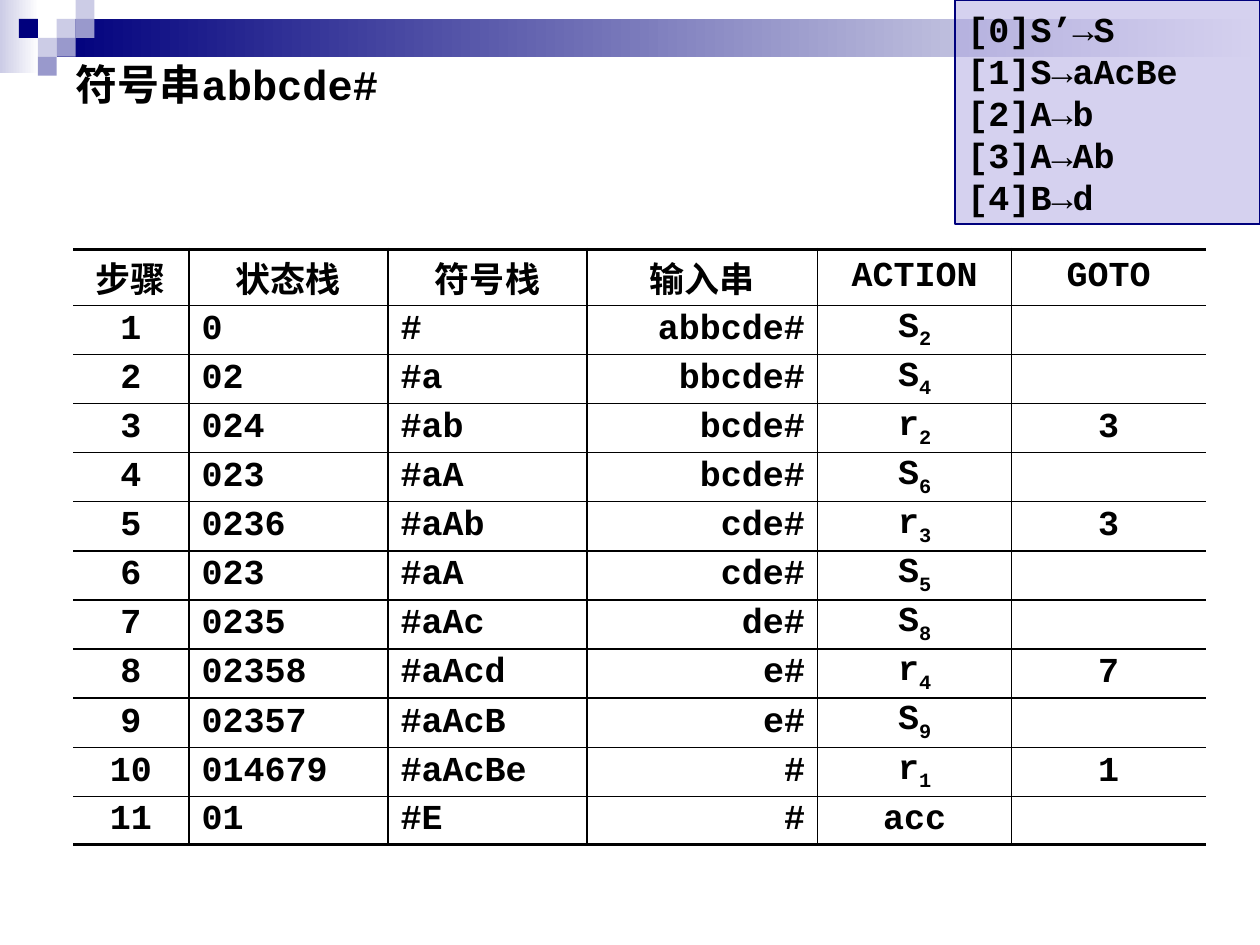
from dataclasses import dataclass
from pptx import Presentation
from pptx import util as u
from pptx.dml import color
from pptx.enum import shapes, text
from pptx.oxml import ns
from lxml import etree

INK, NAVY, LILAC, PALE, MID = "000000", "00007D", "ADA4E0", "CCCCE6", "9999CC"
FACE = "Courier New"
COLS, ROWS = 100, 75
UNIT = u.Inches(10) // COLS
TILE = 1.5
LEFT, MID_AL, RIGHT = text.PP_ALIGN.LEFT, text.PP_ALIGN.CENTER, text.PP_ALIGN.RIGHT
PLAIN = "{2D5ABB26-0587-4C30-8999-92F81FD0307C}"


@dataclass
class Box:
    col: float
    row: float
    wide: float
    high: float

    def place(self) -> list:
        return [span(n) for n in (self.col, self.row, self.wide, self.high)]


@dataclass
class Tile:
    col: int
    row: int
    tint: str


@dataclass
class Field:
    head: str
    wide: float
    align: int


TILES = [
    Tile(3, 1, PALE), Tile(4, 0, PALE), Tile(4, 1, MID), Tile(2, 2, PALE),
    Tile(1, 1, NAVY), Tile(3, 2, MID), Tile(2, 3, MID),
]
FIELDS = [
    Field("步骤", 9.2, MID_AL), Field("状态栈", 15.8, LEFT),
    Field("符号栈", 15.8, LEFT), Field("输入串", 18.3, RIGHT),
    Field("ACTION", 15.4, MID_AL), Field("GOTO", 15.4, MID_AL),
]
STEPS = [
    ("0", "#", "abbcde#", "S2", ""),
    ("02", "#a", "bbcde#", "S4", ""),
    ("024", "#ab", "bcde#", "r2", "3"),
    ("023", "#aA", "bcde#", "S6", ""),
    ("0236", "#aAb", "cde#", "r3", "3"),
    ("023", "#aA", "cde#", "S5", ""),
    ("0235", "#aAc", "de#", "S8", ""),
    ("02358", "#aAcd", "e#", "r4", "7"),
    ("02357", "#aAcB", "e#", "S9", ""),
    ("014679", "#aAcBe", "#", "r1", "1"),
    ("01", "#E", "#", "acc", ""),
]
HIGHS = [4.4] + [3.9] * 10 + [3.8]
RULES = ["[0]S’→S", "[1]S→aAcBe", "[2]A→b", "[3]A→Ab", "[4]B→d"]


def span(n: float) -> int:
    return u.Emu(round(n * UNIT))


def hue(code: str) -> color.RGBColor:
    return color.RGBColor.from_string(code)


def style(para, size: int, align: int) -> None:
    para.alignment = align
    for run in para.runs:
        font = run.font
        font.name, font.size, font.bold = FACE, u.Pt(size), True
        font.color.rgb = hue(INK)


def block(slide, box: Box, *tints: str):
    shape = slide.shapes.add_shape(shapes.MSO_SHAPE.RECTANGLE, *box.place())
    shape.shadow.inherit = False
    shape.line.fill.background()
    if len(tints) == 1:
        shape.fill.solid()
        shape.fill.fore_color.rgb = hue(tints[0])
    else:
        shape.fill.gradient()
        shape.fill.gradient_angle = 0
        for stop, tint in zip(shape.fill.gradient_stops, tints):
            stop.color.rgb = hue(tint)
    return shape


def title(slide, box: Box, words: str) -> None:
    head = slide.shapes.title
    head.left, head.top, head.width, head.height = box.place()
    frame = head.text_frame
    frame.text = words
    frame.auto_size = text.MSO_AUTO_SIZE.NONE
    frame.vertical_anchor = text.MSO_ANCHOR.MIDDLE
    style(frame.paragraphs[0], 24, LEFT)


def rules(slide, box: Box) -> None:
    panel = block(slide, box, LILAC)
    tint = panel.fill._xPr.find(".//" + ns.qn("a:srgbClr"))
    etree.SubElement(tint, ns.qn("a:alpha"), val="50000")
    panel.line.color.rgb = hue(NAVY)
    panel.line.width = u.Pt(1)
    frame = panel.text_frame
    frame.word_wrap = True
    frame.vertical_anchor = text.MSO_ANCHOR.MIDDLE
    frame.text = "\n".join(RULES)
    for para in frame.paragraphs:
        style(para, 20, LEFT)


def edge(cell, side: str, width: float) -> None:
    line = etree.SubElement(cell._tc.get_or_add_tcPr(), ns.qn("a:ln" + side))
    if not width:
        etree.SubElement(line, ns.qn("a:noFill"))
        return
    line.set("w", str(u.Pt(width)))
    fill = etree.SubElement(line, ns.qn("a:solidFill"))
    etree.SubElement(fill, ns.qn("a:srgbClr"), val=INK)


def write(cell, words: str, align: int) -> None:
    cell.margin_left = cell.margin_right = u.Inches(0.1)
    cell.margin_top = cell.margin_bottom = u.Inches(0.02)
    cell.vertical_anchor = text.MSO_ANCHOR.MIDDLE
    para = cell.text_frame.paragraphs[0]
    if words[:1] in ("S", "r"):
        para.text = words[0]
        low = para.add_run()
        low.text = words[1:]
        low._r.get_or_add_rPr().set("baseline", "-25000")
    else:
        para.text = words
    style(para, 20, align)


def steps(slide, col: float, row: float) -> None:
    data = [tuple(f.head for f in FIELDS)]
    data += [(str(n), *step) for n, step in enumerate(STEPS, 1)]
    box = Box(col, row, sum(f.wide for f in FIELDS), sum(HIGHS))
    grid = slide.shapes.add_table(len(data), len(FIELDS), *box.place()).table
    grid.first_row = grid.horz_banding = False
    grid._tbl.tblPr.find(ns.qn("a:tableStyleId")).text = PLAIN
    for part, field in zip(grid.columns, FIELDS):
        part.width = span(field.wide)
    for part, high in zip(grid.rows, HIGHS):
        part.height = span(high)
    last, end = len(data) - 1, len(FIELDS) - 1
    for r, line in enumerate(data):
        for c, words in enumerate(line):
            cell = grid.cell(r, c)
            edge(cell, "L", 1 if c else 0)
            edge(cell, "R", 1 if c < end else 0)
            edge(cell, "T", 1 if r else 2.25)
            edge(cell, "B", 1 if r < last else 2.25)
            cell.fill.background()
            write(cell, words, FIELDS[c].align if r else MID_AL)


def main() -> None:
    deck = Presentation()
    deck.slide_width, deck.slide_height = span(COLS), span(ROWS)
    slide = deck.slides.add_slide(deck.slide_layouts[5])
    block(slide, Box(0, 0, 3.1, 5.8), PALE, "FFFFFF")
    block(slide, Box(4.5, TILE, COLS - 4.5, 3), NAVY, "FFFFFF")
    for tile in TILES:
        block(slide, Box(tile.col * TILE, tile.row * TILE, TILE, TILE), tile.tint)
    title(slide, Box(5, 5, 90, 3.3), "符号串abbcde#")
    steps(slide, 5.8, 19.8)
    rules(slide, Box(75.8, 0, 24.2, 17.8))
    deck.save("out.pptx")


if __name__ == "__main__":
    main()
